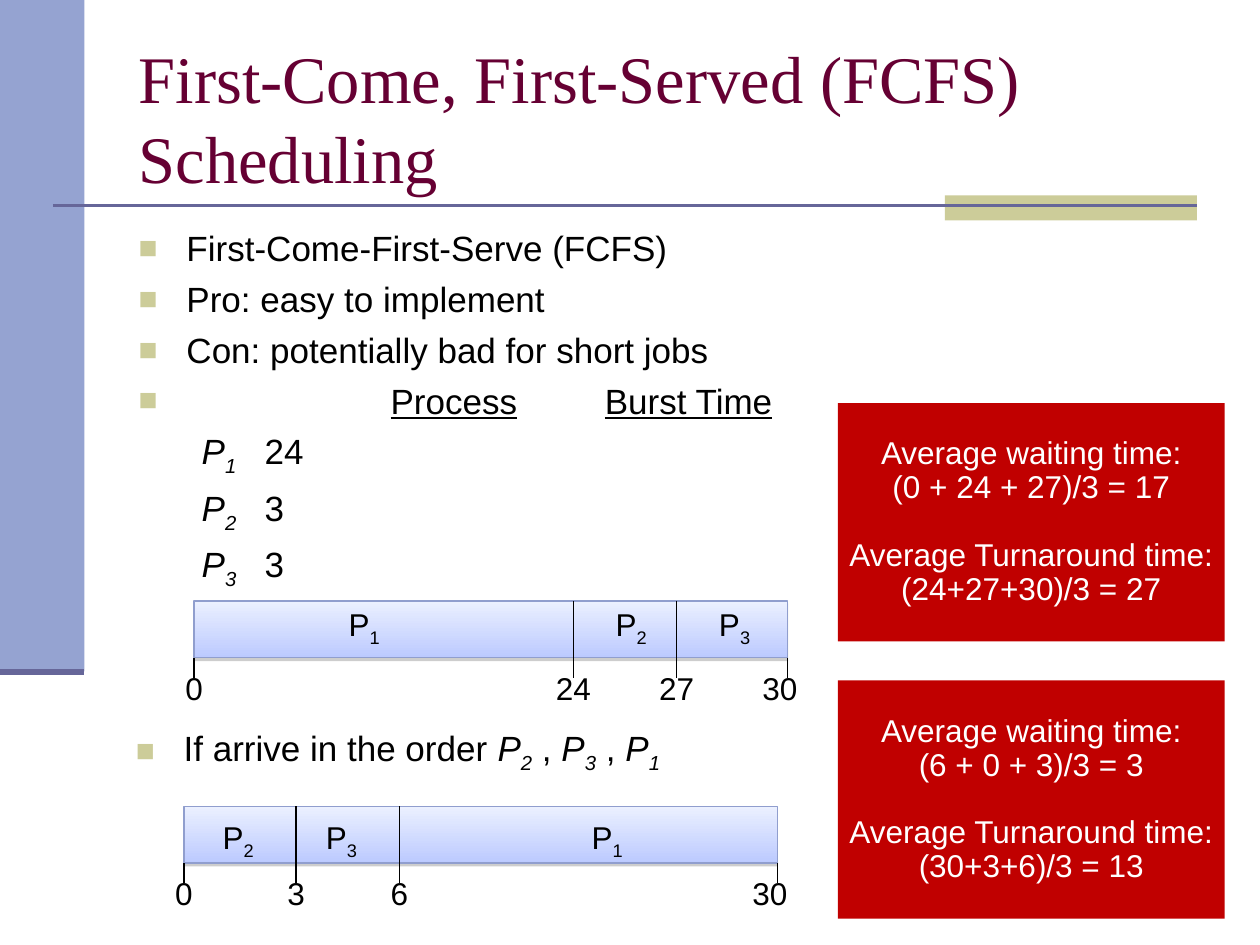
from lxml.etree import SubElement as Sub
from pptx import Presentation
from pptx.dml.color import RGBColor as Rgb
from pptx.enum.shapes import MSO_CONNECTOR as Conn, MSO_SHAPE as Kind
from pptx.enum.text import MSO_ANCHOR as Anchor, MSO_AUTO_SIZE as Auto, PP_ALIGN as Align
from pptx.oxml.ns import qn
from pptx.util import Inches as In, Pt

HUE = {"side": "95A3D1", "rule": "666699", "tan": "CCCC99", "title": "660033",
       "ink": "000000", "paper": "FFFFFF", "alert": "C00000", "light": "EBF0FF",
       "deep": "BCCAFF", "edge": "909ECE", "shade": "808080"}


def tint(name):
    return Rgb.from_string(HUE[name])


def style(par, size, hue="ink", face="Arial"):
    par.font.size, par.font.name = Pt(size), face
    par.font.color.rgb = tint(hue)


def write(par, parts):
    """Add runs; each part is text or (text, marks): i italic, u underline, s subscript."""
    for part in parts:
        text, marks = (part, "") if isinstance(part, str) else part
        run = par.add_run()
        run.text = text
        if "i" in marks:
            run.font.italic = True
        if "u" in marks:
            run.font.underline = True
        if "s" in marks:
            run.font._element.set("baseline", "-25000")


def proc(num, slant="i"):
    return [("P", slant), (str(num), slant + "s")]


def layout(par, bullet, tabs=()):
    """Set indent, bullet and tab stops, given as (inches, alignment)."""
    props = par._p.get_or_add_pPr()
    hang = In(0.38) if bullet else 0
    props.set("marL", str(hang))
    props.set("indent", str(-hang))
    if bullet:
        Sub(Sub(props, qn("a:buClr")), qn("a:srgbClr"), val=HUE["tan"])
        Sub(props, qn("a:buSzPct"), val="90000")
        Sub(props, qn("a:buFont"), typeface="Arial")
        Sub(props, qn("a:buChar"), char="■")
    else:
        Sub(props, qn("a:buNone"))
    if tabs:
        stops = Sub(props, qn("a:tabLst"))
        for pos, side in tabs:
            Sub(stops, qn("a:tab"), pos=str(In(pos)), algn=side)


def fill_list(frame, rows):
    frame.word_wrap, frame.auto_size = True, Auto.NONE
    for i, (parts, bullet, tabs) in enumerate(rows):
        par = frame.add_paragraph() if i else frame.paragraphs[0]
        layout(par, bullet, tabs)
        par.space_before = Pt(5 if i else 0)
        style(par, 20)
        write(par, parts)


def block(shapes, box, hue):
    shape = shapes.add_shape(Kind.RECTANGLE, *map(In, box))
    shape.shadow.inherit = False
    shape.fill.solid()
    shape.fill.fore_color.rgb = tint(hue)
    shape.line.fill.background()
    return shape


def line(shapes, start, end, hue="ink", width=0.75):
    link = shapes.add_connector(Conn.STRAIGHT, *map(In, start + end))
    link.line.color.rgb, link.line.width = tint(hue), Pt(width)
    Sub(link._element.spPr, qn("a:effectLst"))


def label(shapes, mid, top, size, parts):
    wide, high = size
    box = shapes.add_textbox(In(mid - wide / 2), In(top), In(wide), In(high))
    frame = box.text_frame
    frame.word_wrap, frame.auto_size = False, Auto.SHAPE_TO_FIT_TEXT
    frame.vertical_anchor = Anchor.MIDDLE
    par = frame.paragraphs[0]
    par.alignment = Align.CENTER
    style(par, 18)
    write(par, parts)


def backdrop(shapes):
    block(shapes, (0, 0, 0.67, 5.33), "side")
    block(shapes, (7.5, 1.55, 2, 0.2), "tan")
    line(shapes, (0.42, 1.63), (9.5, 1.63), "rule", 1.5)
    line(shapes, (0, 5.33), (0.67, 5.33), "rule", 3.5)


def place(shape, box):
    shape.left, shape.top, shape.width, shape.height = map(In, box)
    return shape.text_frame


def heading(shape, box):
    frame = place(shape, box)
    frame.word_wrap, frame.auto_size = True, Auto.NONE
    frame.vertical_anchor = Anchor.MIDDLE
    par = frame.paragraphs[0]
    par.alignment = Align.LEFT
    style(par, 38, "title", "Times New Roman")
    write(par, ["First-Come, First-Served (FCFS) Scheduling"])


def points(shape, box):
    rows = [([text], True, ()) for text in (
        "First-Come-First-Serve (FCFS)", "Pro: easy to implement",
        "Con: potentially bad for short jobs")]
    rows.append((["\t", ("Process", "u"), "\t", ("Burst Time", "u")],
                 True, [(2, "l"), (3.7, "l")]))
    for num, burst in enumerate((24, 3, 3), 1):
        rows.append((["\t", *proc(num), f"\t{burst}"], False, [(2.76, "l"), (4.74, "ctr")]))
    fill_list(place(shape, box), rows)


def gantt(slide, box, cells, times, dip):
    """Draw a timeline; cells are (process, label centre), times are (time, offset)."""
    left, top, wide, high = box
    foot = top + high
    shapes = slide.shapes.add_group_shape().shapes
    bar = block(shapes, box, "light")
    bar.fill.gradient()
    bar.fill.gradient_angle = 270
    for stop, hue in zip(bar.fill.gradient_stops, ("light", "deep")):
        stop.color.rgb = tint(hue)
    bar.line.color.rgb, bar.line.width = tint("edge"), Pt(0.75)
    glow = Sub(bar._element.spPr.find(qn("a:effectLst")), qn("a:outerShdw"),
               blurRad="0", dist=str(Pt(1.6)), dir="5400000", rotWithShape="0")
    shade = Sub(glow, qn("a:srgbClr"), val=HUE["shade"])
    Sub(shade, qn("a:alpha"), val="38000")
    for num, mid in cells:
        label(shapes, left + mid, top + dip, (0.45, 0.44), proc(num, ""))
    for time, off in times:
        x = left + off
        if 0 < off < wide:
            line(shapes, (x, top), (x, foot))
        line(shapes, (x, foot), (x, foot + 0.16))
        nudge = 0.06 if off == wide else 0
        size = (0.48 if time > 9 else 0.34, 0.4)
        label(shapes, x - nudge, foot + 0.04, size, [str(time)])


def result(slide, box, wait, turn):
    frame = block(slide.shapes, box, "alert").text_frame
    frame.word_wrap, frame.vertical_anchor = False, Anchor.MIDDLE
    rows = ("Average waiting time:", wait, "Average Turnaround time:", turn)
    for i, text in enumerate(rows):
        par = frame.add_paragraph() if i else frame.paragraphs[0]
        par.alignment, par.line_spacing = Align.CENTER, 0.9
        par.space_before = Pt(19 if i == 2 else 0)
        style(par, 18, "paper")
        write(par, [text])


def order(slide, box):
    frame = slide.shapes.add_textbox(*map(In, box)).text_frame
    parts = ["If arrive in the order ", *proc(2), " , ", *proc(3), " , ", *proc(1)]
    fill_list(frame, [(parts, True, ())])


def main():
    deck = Presentation()
    deck.slide_width, deck.slide_height = In(10), In(7.5)
    slide = deck.slides.add_slide(deck.slide_layouts[1])
    title, body = slide.placeholders
    backdrop(slide.shapes)
    heading(title, (1, 0.3, 8.5, 1.25))
    points(body, (1, 1.75, 8.5, 4.95))
    gantt(slide, (1.54, 4.77, 4.71, 0.45), [(1, 1.35), (2, 3.47), (3, 4.29)],
          [(0, 0), (24, 3.01), (27, 3.83), (30, 4.71)], -0.02)
    result(slide, (6.65, 3.2, 3.07, 1.89), "(0 + 24 + 27)/3 = 17", "(24+27+30)/3 = 27")
    order(slide, (0.98, 5.72, 8.5, 1.42))
    gantt(slide, (1.46, 6.4, 4.71, 0.45), [(2, 0.43), (3, 1.25), (1, 3.36)],
          [(0, 0), (3, 0.89), (6, 1.71), (30, 4.71)], 0.04)
    result(slide, (6.65, 5.4, 3.07, 1.89), "(6 + 0 + 3)/3 = 3", "(30+3+6)/3 = 13")
    deck.save("out.pptx")


if __name__ == "__main__":
    main()
